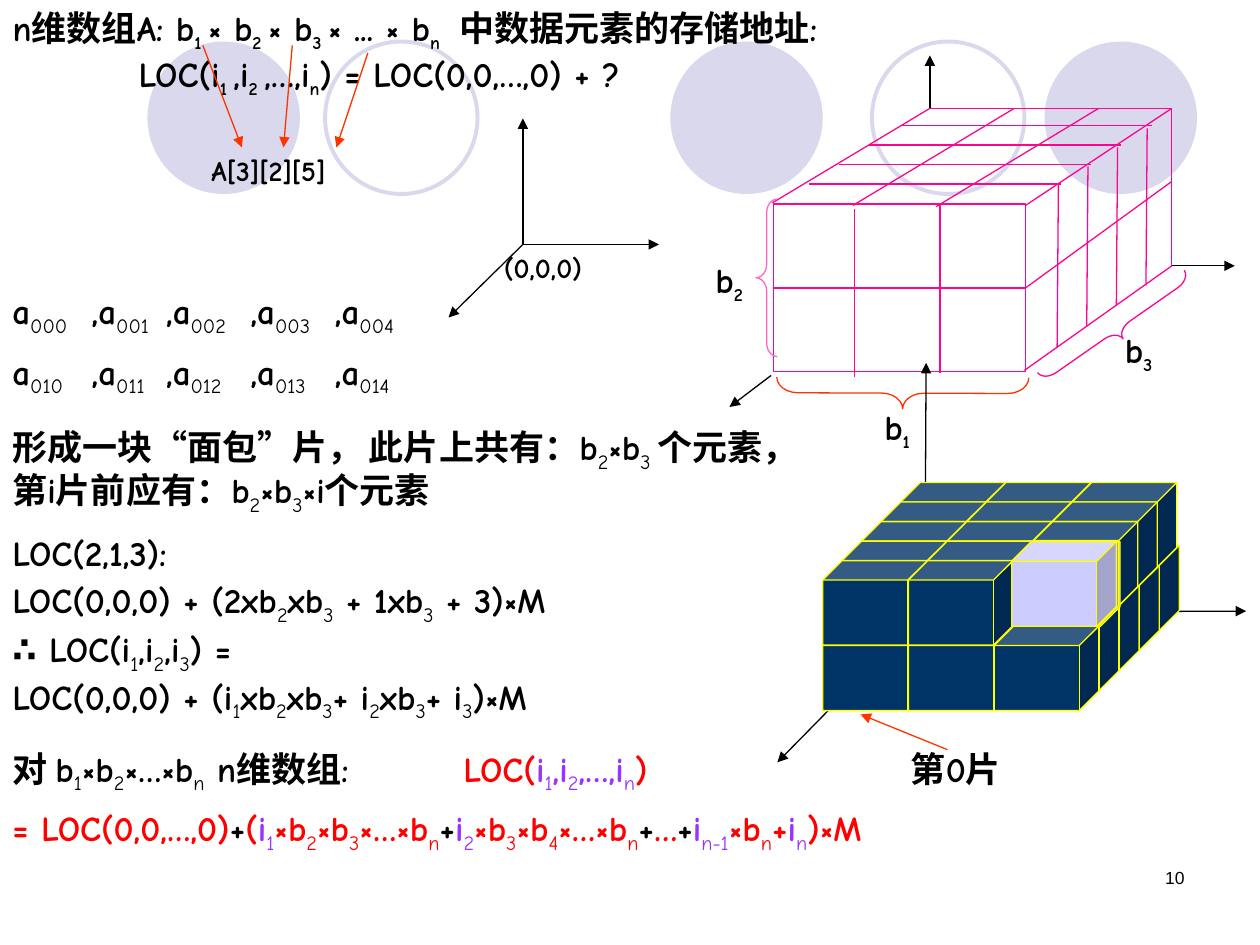
from dataclasses import dataclass

from lxml import etree
from pptx import Presentation
from pptx import util as u
from pptx.dml.color import RGBColor
from pptx.enum import shapes, text
from pptx.oxml import ns

MS = shapes.MSO_SHAPE


@dataclass(frozen=True)
class Theme:
    font: str = "Comic Neue"
    number_font: str = "Arial"
    body: float = 20
    small: float = 18
    label: float = 16
    number: float = 10
    line: float = 0.75
    ring: float = 2.25
    ink: str = "000000"
    red: str = "FF0000"
    purple: str = "9933FF"
    arrow: str = "FF3300"
    pink: str = "FA0691"
    light_pink: str = "FF66CC"
    circle: str = "D9D8EC"
    cube: str = "003366"
    removed: str = "CCCCFF"
    edge: str = "FFFF00"


class Builder:
    def __init__(self, prs, theme):
        self.t = theme
        self.s = prs.slides.add_slide(prs.slide_layouts[5])

    def shape(self, kind, box, fill=None, line=None, width=None, adj=(), rot=0):
        sp = self.s.shapes.add_shape(kind, *map(u.Inches, box))
        sp.shadow.inherit = False
        sp.rotation = rot
        for i, value in enumerate(adj):
            sp.adjustments[i] = value
        if fill:
            sp.fill.solid()
            sp.fill.fore_color.rgb = RGBColor.from_string(fill)
        else:
            sp.fill.background()
        if line:
            sp.line.color.rgb = RGBColor.from_string(line)
            sp.line.width = u.Pt(width or self.t.line)
        else:
            sp.line.fill.background()
        return sp

    def cube(self, x, y, fill):
        self.shape(MS.CUBE, (x, y, 0.83, 0.67), fill, self.t.edge, adj=(0.23,))

    def line(self, x1, y1, x2, y2, color, arrow=False):
        ln = self.s.shapes.add_connector(
            shapes.MSO_CONNECTOR.STRAIGHT, *map(u.Inches, (x1, y1, x2, y2)))
        ln.line.color.rgb = RGBColor.from_string(color)
        ln.line.width = u.Pt(self.t.line)
        if arrow:
            etree.SubElement(ln.line._get_or_add_ln(), ns.qn("a:tailEnd"), type="triangle")
        etree.SubElement(ln._element.spPr, ns.qn("a:effectLst"))
        return ln

    def arrow(self, *ends, color=None):
        self.line(*ends, color or self.t.ink, arrow=True)

    def runs(self, p, parts, size, sub):
        """Add runs; text between ~ marks is subscript, parts are (color, text)."""
        if isinstance(parts, str):
            parts = [(self.t.ink, parts)]
        for color, words in parts:
            for i, piece in enumerate(words.split("~")):
                if not piece:
                    continue
                lowered = i % 2 == 1
                r = p.add_run()
                r.text = piece
                fmt = {"name": self.t.font, "size": u.Pt(size), "bold": True}
                if lowered:
                    fmt.update(sub)
                for key, value in fmt.items():
                    setattr(r.font, key, value)
                r.font.color.rgb = RGBColor.from_string(color)
                if lowered:
                    r.font._element.set("baseline", "-25000")

    def frame(self, sp, paragraphs, size, sub):
        tf = sp.text_frame
        fmt = {"word_wrap": True, "vertical_anchor": text.MSO_ANCHOR.TOP,
               "auto_size": text.MSO_AUTO_SIZE.SHAPE_TO_FIT_TEXT}
        for key, value in fmt.items():
            setattr(tf, key, value)
        for i, parts in enumerate(paragraphs):
            p = tf.add_paragraph() if i else tf.paragraphs[0]
            p.alignment = text.PP_ALIGN.LEFT
            self.runs(p, parts, size, sub)
        return tf

    def text(self, x, y, w, *paragraphs, size=None, sub=None):
        h = 0.1 + 0.33 * len(paragraphs)
        sp = self.s.shapes.add_textbox(*map(u.Inches, (x, y, w, h)))
        return self.frame(sp, paragraphs, size or self.t.body, sub or {"bold": False})

    def title(self, box, *paragraphs):
        sp = self.s.shapes.title
        for key, value in zip(("left", "top", "width", "height"), box):
            setattr(sp, key, u.Inches(value))
        self.s.shapes._spTree.append(sp._element)  # in front of the circles
        return self.frame(sp, paragraphs, self.t.body, {"size": u.Pt(self.t.small)})


def main():
    prs = Presentation()
    prs.slide_width, prs.slide_height = u.Inches(10), u.Inches(7.5)
    t = Theme()
    b = Builder(prs, t)

    # Background circles
    for x in (5.32, 8.29, 1.17):
        b.shape(MS.OVAL, (x, 0.33, 1.21, 1.21), fill=t.circle)
    for x in (6.92, 2.58):
        b.shape(MS.OVAL, (x, 0.33, 1.21, 1.21), line=t.circle, width=t.ring)

    # Page number
    p = b.text(7.17, 6.83, 2.33, "10", size=t.number).paragraphs[0]
    p.alignment = text.PP_ALIGN.RIGHT
    p.runs[0].font.name, p.runs[0].font.bold = t.number_font, False

    # Heading
    tf = b.title((0, 0, 8.25, 0.77),
                 "n维数组A: b~1 ~× b~2 ~× b~3 ~× ... × b~n ~ 中数据元素的存储地址:",
                 "LOC(i~1 ~,i~2 ~,…,i~n~) = LOC(0,0,…,0) + ?")
    tf.paragraphs[1]._p.get_or_add_pPr().set("marL", str(u.Inches(1)))

    # Small axes and the sample array
    for end in ((5.23, 1.94), (4.15, 0.94), (3.56, 2.52)):
        b.arrow(4.15, 1.94, *end)
    b.text(3.9, 1.94, 1, "(0,0,0)", size=t.label)
    b.text(1.58, 1.17, 1.33, "A[3][2][5]", size=t.label)
    for x1, y1, x2 in ((1.61, 0.36, 1.92), (2.32, 0.36, 2.25), (2.92, 0.42, 2.67)):
        b.arrow(x1, y1, x2, 1.17, color=t.arrow)

    # Wireframe block: front face
    front = b.shape(MS.RECTANGLE, (6.14, 1.62, 2, 1.33), line=t.pink)
    middle = b.line(6.14, 2.28, 8.14, 2.28, t.pink)
    middle.begin_connect(front, 1)
    middle.end_connect(front, 3)
    b.line(8.14, 2.28, 9.3, 1.44, t.pink).begin_connect(front, 3)
    for ends in ((7.46, 1.63, 7.46, 2.96), (6.78, 1.66, 6.78, 2.99),
                 # top and right faces
                 (6.13, 1.61, 7.38, 0.86), (7.38, 0.86, 9.3, 0.86),
                 (8.14, 1.63, 9.3, 0.86), (9.3, 0.86, 9.3, 2.11),
                 (8.13, 2.94, 9.3, 2.11), (6.77, 1.63, 8.05, 0.86),
                 (7.43, 1.64, 8.72, 0.86)):
        b.line(*ends, t.pink)
    for k in range(4):
        x, y = 6.42 + 0.24 * k, 1.46 - 0.155 * k
        b.line(x, y, x + 2, y, t.pink)
        x = 8.4 + 0.235 * k
        b.line(x, 1.47 - 0.15 * k, x - 0.01, 2.76 - 0.165 * k, t.pink)
    for ends in ((9.3, 2.11, 9.8, 2.11), (6.12, 2.98, 5.79, 3.23),
                 (7.38, 0.86, 7.38, 0.44)):
        b.arrow(*ends)

    # Dimension braces and labels
    for i, (box, rot, adj, color, x, y) in enumerate((
            ((7.04, 2.12, 0.25, 2), 270.2, 0.67, t.arrow, 6.92, 3.17),
            ((6, 1.58, 0.17, 1.25), 0, 0.63, t.light_pink, 5.58, 2),
            ((8.78, 1.91, 0.17, 1.42), 235.1, 0.71, t.pink, 8.83, 2.56)), 1):
        b.shape(MS.LEFT_BRACE, box, line=color, adj=(adj, 0.5), rot=rot)
        b.text(x, y, 0.5, f"b~{i}~", sub={"size": u.Pt(t.small)})

    # Axes behind the cubes
    for end in ((7.35, 2.88), (9.89, 4.85), (6.17, 6.05)):
        b.arrow(7.34, 4.86, *end)

    # Cubes: each column from back to front, lower layer first
    for col in range(3):
        for d in range(5):
            b.cube(7.17 + 0.68 * col - 0.16 * d, 4.33 + 0.16 * d, t.cube)
        for d in range(3 if col == 2 else 5):
            b.cube(7.15 + 0.68 * col - 0.155 * d, 3.83 + 0.155 * d, t.cube)
    for x, y in ((8.06, 4.3), (8.05, 4.29), (8.03, 4.3)):
        b.cube(x, y, t.removed)
    b.arrow(7.52, 5.95, 6.83, 5.67, color=t.arrow)
    b.text(7.13, 5.88, 1, "第0片")

    # Elements of one slice
    for row in range(2):
        for col, x in enumerate((0, 0.63, 1.22, 1.89, 2.56)):
            comma = "," if col else ""
            b.text(x, 2.25 + 0.48 * row, 0.9, f"{comma}a~0{row}{col}~")

    # Derivation
    for x, y, w, *paragraphs in (
            (0, 3.33, 3.58, "形成一块“面包”片，"),
            (2.83, 3.33, 4, "此片上共有：b~2~×b~3 ~个元素，"),
            (0, 3.67, 4.17, "第i片前应有：b~2~×b~3~×i个元素"),
            (0, 4.17, 1.92, "LOC(2,1,3):"),
            (0, 4.54, 5.94, "LOC(0,0,0) + (2xb~2~xb~3~ + 1xb~3~ + 3)×M"),
            (0, 4.93, 5.87, "∴ LOC(i~1~,i~2~,i~3~) =",
             "LOC(0,0,0) + (i~1~xb~2~xb~3~+ i~2~xb~3~+ i~3~)×M"),
            (0, 5.88, 3.83, "对 b~1~×b~2~×…×b~n~ n维数组:")):
        b.text(x, y, w, *paragraphs)

    # General formula
    b.text(3.58, 5.88, 2.33, [
        (t.red, "LOC("), (t.purple, "i~1~,i~2~,…,i~n~"), (t.red, ")")])
    b.text(0, 6.35, 10, [
        (t.red, "= LOC(0,0,…,0)"), (t.ink, "+"), (t.red, "("),
        (t.purple, "i~1~"), (t.red, "×b~2~×b~3~×…×b~n~"), (t.ink, "+"),
        (t.purple, "i~2~"), (t.red, "×b~3~×b~4~×…×b~n~"), (t.ink, "+"),
        (t.red, "…"), (t.ink, "+"), (t.purple, "i~n-1~"), (t.red, "×b~n~+"),
        (t.purple, "i~n~"), (t.red, ")×M")])

    prs.save("out.pptx")


if __name__ == "__main__":
    main()
